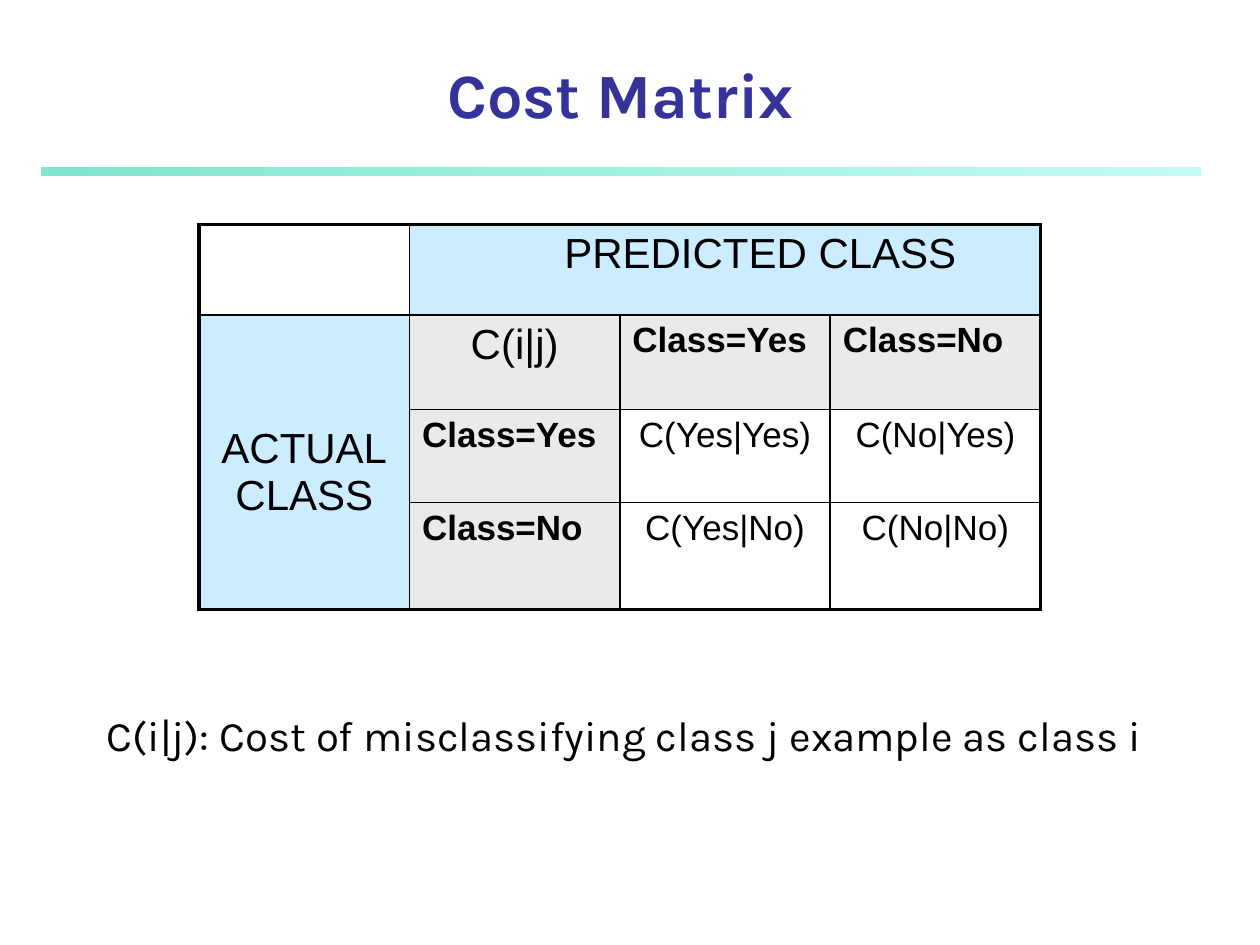
import pptx
import pptx.util
import pptx.oxml
import pptx.oxml.ns
import pptx.dml.color
import pptx.enum.text
import pptx.enum.shapes

Inches, Pt = pptx.util.Inches, pptx.util.Pt
RGBColor = pptx.dml.color.RGBColor
PP_ALIGN = pptx.enum.text.PP_ALIGN
MSO_ANCHOR = pptx.enum.text.MSO_ANCHOR
qn = pptx.oxml.ns.qn

BLACK = RGBColor(0x00, 0x00, 0x00)
WHITE = RGBColor(0xFF, 0xFF, 0xFF)
NAVY = RGBColor(0x33, 0x33, 0x99)
SKY = RGBColor(0xCC, 0xEC, 0xFF)
GREY = RGBColor(0xEA, 0xEA, 0xEA)
GREEN = RGBColor(0x00, 0xCE, 0x98)
AQUA = RGBColor(0x8F, 0xF9, 0xEF)

OUTER, INNER = Pt(2.25), Pt(1)
ROW_HEIGHTS = [0.72, 0.75, 0.74, 0.85]
COL_WIDTH = 1.67
HEADING = {"size": Pt(24), "name": "Arial", "bold": False}
LABEL = {"size": Pt(20), "name": "Arial", "bold": True}
COST = {"size": Pt(20), "name": "Arial", "bold": False}
CLASSES = ["Yes", "No"]


def write(tf, text, font, color=BLACK, align=PP_ALIGN.LEFT):
    p = tf.paragraphs[0]
    p.text = text
    p.alignment = align
    for r in p.runs:
        for key, value in font.items():
            setattr(r.font, key, value)
        r.font.color.rgb = color
    return p


def add_title(s, text):
    sp = s.shapes.title
    box = {"left": 0.33, "top": 0.42, "width": 9.19, "height": 0.67}
    for key, value in box.items():
        setattr(sp, key, Inches(value))
    tf = sp.text_frame
    tf.vertical_anchor = MSO_ANCHOR.BOTTOM
    font = {"size": Pt(36), "name": "Karla", "bold": True}
    write(tf, text, font, NAVY, PP_ALIGN.CENTER)


def add_rule(s):
    sp = s.shapes.add_shape(pptx.enum.shapes.MSO_SHAPE.RECTANGLE, Inches(0.33),
                            Inches(1.33), Inches(9.2), Inches(0.06))
    sp.shadow.inherit = False
    sp.line.fill.background()
    sp.fill.gradient()
    sp.fill.gradient_angle = 0
    for stop, color in zip(sp.fill.gradient_stops, (GREEN, AQUA)):
        stop.color.rgb = color
    for clr, alpha in zip(sp._element.spPr.iter(qn("a:srgbClr")), (50, 52)):
        clr.append(pptx.oxml.parse_xml(
            f'<a:alpha {pptx.oxml.ns.nsdecls("a")} val="{alpha * 1000}"/>'))


def set_borders(cell, row, col, n):
    bottom, right = row + 1, col + 1
    if cell.is_merge_origin:
        bottom, right = row + cell.span_height, col + cell.span_width
    edges = {"L": col == 0, "R": right == n, "T": row == 0, "B": bottom == n}
    tcPr = cell._tc.get_or_add_tcPr()
    for side, is_outer in edges.items():
        if cell.is_spanned and not is_outer:
            continue
        tcPr.append(pptx.oxml.parse_xml(
            f'<a:ln{side} {pptx.oxml.ns.nsdecls("a")} w="{OUTER if is_outer else INNER}">'
            f'<a:solidFill><a:srgbClr val="{BLACK}"/></a:solidFill></a:ln{side}>'))


def fill_cell(cell, text, font, fill, align):
    cell.fill.solid()
    cell.fill.fore_color.rgb = fill
    write(cell.text_frame, text, font, align=align).space_after = Pt(4)


def add_cost_table(s):
    n = len(ROW_HEIGHTS)
    frame = s.shapes.add_table(n, n, Inches(1.58), Inches(1.78),
                               Inches(COL_WIDTH * n), Inches(sum(ROW_HEIGHTS)))
    table = frame.table
    table.first_row = table.horz_banding = False
    for column in table.columns:
        column.width = Inches(COL_WIDTH)
    for row, height in zip(table.rows, ROW_HEIGHTS):
        row.height = Inches(height)
    predicted, actual = table.cell(0, 1), table.cell(1, 0)
    predicted.merge(table.cell(0, n - 1))
    actual.merge(table.cell(n - 1, 0))
    for i in range(n):
        for j in range(n):
            set_borders(table.cell(i, j), i, j, n)

    center, left = PP_ALIGN.CENTER, PP_ALIGN.LEFT
    fill_cell(table.cell(0, 0), "", HEADING, WHITE, left)
    fill_cell(predicted, "PREDICTED CLASS", HEADING, SKY, center)
    predicted.margin_left = Inches(0.66)
    fill_cell(actual, "ACTUAL\vCLASS", HEADING, SKY, center)
    actual.margin_top = Inches(0.88)
    fill_cell(table.cell(1, 1), "C(i|j)", HEADING, GREY, center)
    for i, name in enumerate(CLASSES, 2):
        for cell in (table.cell(1, i), table.cell(i, 1)):
            fill_cell(cell, f"Class={name}", LABEL, GREY, left)
        for j, guess in enumerate(CLASSES, 2):
            fill_cell(table.cell(i, j), f"C({guess}|{name})", COST, WHITE, center)


def add_note(s, text):
    sp = s.shapes.add_textbox(Inches(0.75), Inches(5.58), Inches(8.58), Inches(1))
    sp.text_frame.word_wrap = True
    write(sp.text_frame, text, {"size": Pt(24), "name": "Karla"})


def main():
    prs = pptx.Presentation()
    prs.slide_width, prs.slide_height = Inches(10), Inches(7.5)
    s = prs.slides.add_slide(prs.slide_layouts.get_by_name("Title Only"))
    add_rule(s)
    add_title(s, "Cost Matrix")
    add_cost_table(s)
    add_note(s, "C(i|j): Cost of misclassifying class j example as class i")
    prs.save("out.pptx")


if __name__ == "__main__":
    main()
